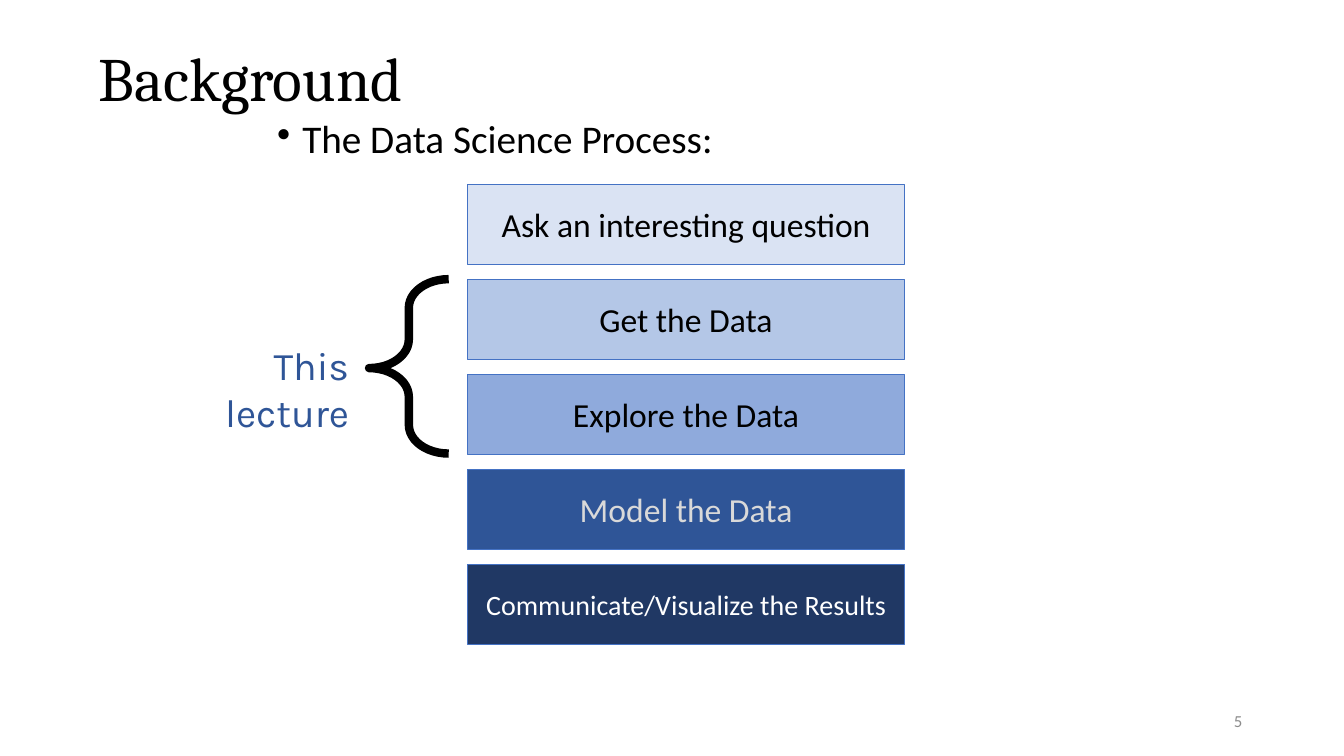
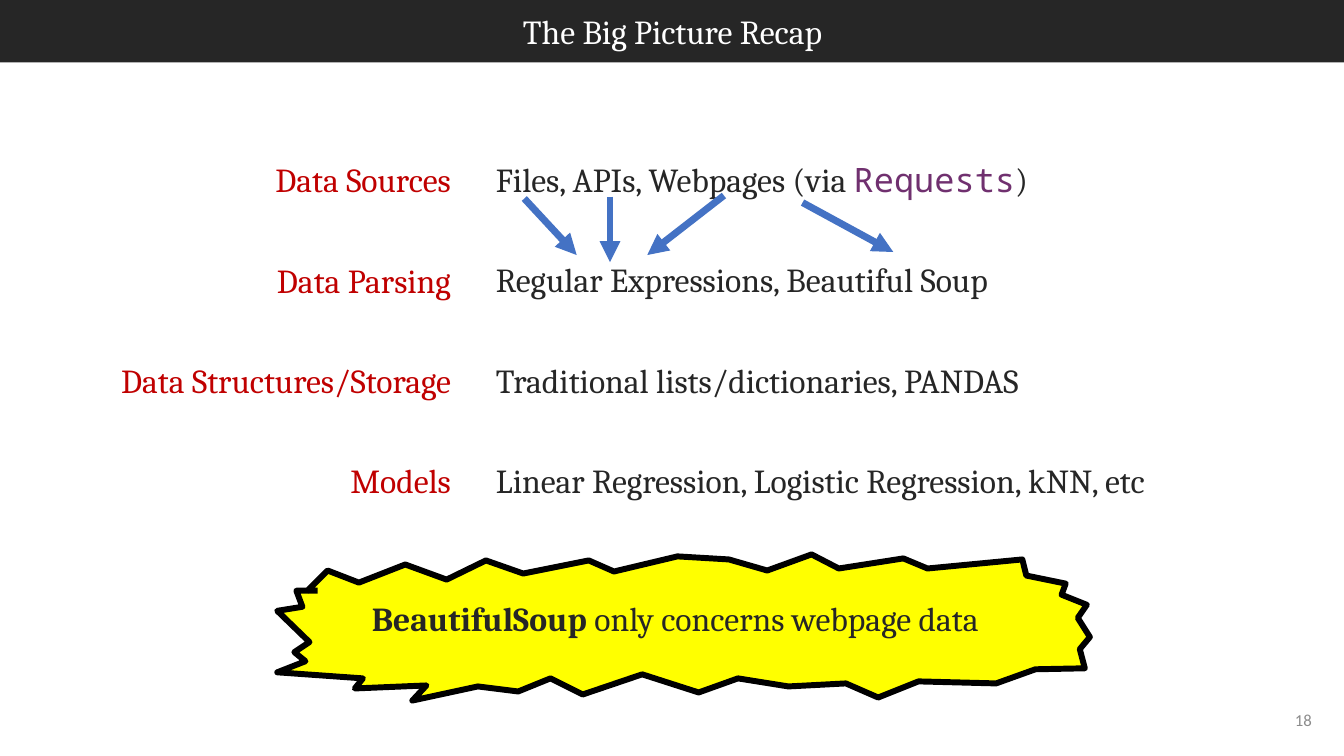
import pptx
import pptx.dml.color
import pptx.enum.shapes
import pptx.enum.text
import pptx.oxml
import pptx.oxml.ns
import pptx.util
from dataclasses import dataclass

Inches = pptx.util.Inches
Pt = pptx.util.Pt
Align = pptx.enum.text.PP_ALIGN
Anchor = pptx.enum.text.MSO_ANCHOR
Preset = pptx.enum.shapes.MSO_SHAPE
namespace = pptx.oxml.ns.nsdecls("a")


@dataclass(frozen=True)
class Theme:
    black: str = "000000"
    white: str = "FFFFFF"
    ink: str = "262626"
    muted: str = "8C8C8C"
    pale: str = "D9D9D9"
    blue: str = "4472C4"
    deep_blue: str = "2F5597"
    steps: tuple = ("DAE3F3", "B4C7E7", "8FAADC", "2F5597", "203864")
    red: str = "C00000"
    purple: str = "70306F"
    yellow: str = "FFFF00"
    body: str = "Calibri"
    serif: str = "Cambria"
    accent: str = "Karla"
    code: str = "Noto Sans Mono"
    title_size: int = 44
    large: int = 28
    medium: int = 24
    small: int = 20
    footer: int = 12


theme = Theme()


def write(target, text, at=None, size=theme.medium, font=theme.serif, color=theme.ink,
          align=Align.LEFT, anchor=Anchor.TOP, wrap=True, before=0, after=0,
          spacing=None, bullet=None):
    """Write into a shape, or into a new text box when at is given.

    text is a string or a list of (string, overrides) pairs.
    """
    box = target.shapes.add_textbox(*map(Inches, at)) if at else target
    frame = box.text_frame
    frame.word_wrap = wrap
    frame.vertical_anchor = anchor
    para = frame.paragraphs[0]
    para.alignment = align
    para.space_before, para.space_after = Pt(before), Pt(after)
    if spacing:
        para.line_spacing = spacing
    if bullet:
        properties = para._p.get_or_add_pPr()
        properties.set("marL", str(Inches(0.25)))
        properties.set("indent", str(-Inches(0.25)))
        properties.append(pptx.oxml.parse_xml(f'<a:buChar {namespace} char="{bullet}"/>'))
    for words, change in [(text, {})] if isinstance(text, str) else text:
        span = para.add_run()
        span.text = words
        span.font.size = Pt(size)
        span.font.name = change.get("font", font)
        span.font.bold = change.get("bold", False)
        span.font.color.rgb = pptx.dml.color.RGBColor.from_string(change.get("color", color))
    return box


def style(shape, fill=None, line=None, weight=0):
    """Set fill and outline, and remove the shadow."""
    shape.shadow.inherit = False
    for part, color in ((shape.fill, fill), (shape.line.fill, line)):
        if color:
            part.solid()
            part.fore_color.rgb = pptx.dml.color.RGBColor.from_string(color)
        else:
            part.background()
    if line:
        shape.line.width = Pt(weight)
    return shape


deck = pptx.Presentation()
deck.slide_width, deck.slide_height = Inches(13.33), Inches(7.5)
process_page, recap_page = [deck.slides.add_slide(deck.slide_layouts[6]) for _ in range(2)]

# Data science process: five stacked steps
steps = [
    ("Ask an interesting question", theme.black, theme.medium),
    ("Get the Data", theme.black, theme.medium),
    ("Explore the Data", theme.black, theme.medium),
    ("Model the Data", theme.pale, theme.medium),
    ("Communicate/Visualize the Results", theme.white, theme.small),
]
step_top, last_step_top = 1.83, 5.6
step_pitch = (last_step_top - step_top) / (len(steps) - 1)
for index, (label, color, size) in enumerate(steps):
    step = process_page.shapes.add_shape(
        Preset.RECTANGLE, Inches(4.64), Inches(step_top + index * step_pitch),
        Inches(4.33), Inches(0.79))
    style(step, theme.steps[index], theme.blue, 0.5)
    write(step, label, size=size, font=theme.body, color=color, align=Align.CENTER,
          anchor=Anchor.MIDDLE, wrap=False)

# Brace around the steps of this lecture
brace = process_page.shapes.add_shape(
    Preset.LEFT_BRACE, Inches(3.66), Inches(2.77), Inches(0.79), Inches(1.73))
brace.adjustments[0], brace.adjustments[1] = 0.36, 0.51
style(brace, None, theme.black, 6)
write(process_page, "This lecture", at=(1.44, 3.34, 2.12, 0.59), size=theme.large,
      font=theme.accent, color=theme.deep_blue, align=Align.RIGHT, before=10)

# Title and lead-in
write(process_page, "The Data Science Process:", at=(2.65, 1.14, 4.84, 0.68),
      size=theme.large, font=theme.body, color=theme.black, before=10, spacing=0.9, bullet="•")
write(process_page, "Background", at=(0.88, 0.08, 11.5, 1.45), size=theme.title_size,
      color=theme.black, anchor=Anchor.MIDDLE, spacing=0.9)

# Recap: ragged callout, clockwise from the upper left
outline = [
    (3.04, 5.87), (3.25, 5.66), (3.56, 5.78), (4.02, 5.6), (4.43, 5.75), (4.82, 5.56),
    (5.19, 5.69), (5.84, 5.56), (6.09, 5.67), (6.72, 5.52), (7.23, 5.55), (7.61, 5.66),
    (8.05, 5.5), (8.32, 5.64), (8.96, 5.54), (9.2, 5.64), (10.14, 5.55), (10.18, 5.71),
    (10.57, 5.79), (10.53, 5.9), (10.78, 6), (10.69, 6.13), (10.81, 6.32), (10.71, 6.44),
    (10.76, 6.63), (10.27, 6.64), (9.88, 6.78), (9.11, 6.76), (8.71, 6.92), (8.39, 6.78),
    (7.82, 6.81), (7.32, 6.73), (6.93, 6.87), (6.37, 6.69), (5.78, 6.89), (5.46, 6.73),
    (5.14, 6.86), (4.74, 6.81), (4.09, 6.95), (4.23, 6.8), (3.52, 6.83), (3.6, 6.73),
    (2.75, 6.67), (3.03, 6.56), (2.92, 6.47), (3.07, 6.37), (2.75, 6.06), (3, 6.02),
    (2.94, 5.86), (3.15, 5.86),
]
corners = [(Inches(x), Inches(y)) for x, y in outline]
builder = recap_page.shapes.build_freeform(*corners[0])
builder.add_line_segments(corners[1:], close=False)
style(builder.convert_to_shape(), theme.yellow, theme.black, 4.25)
write(recap_page, [("BeautifulSoup", {"bold": True}), (" only concerns webpage data", {})],
      at=(3.59, 5.88, 7.48, 0.5))

# Title band
band = recap_page.shapes.add_shape(
    Preset.RECTANGLE, 0, 0, deck.slide_width, Inches(0.62))
style(band, theme.ink)
write(recap_page, "The Big Picture Recap", at=(2.13, 0.06, 9.08, 0.5),
      color=theme.white, align=Align.CENTER)

# Topic rows: right-aligned label beside its examples
requests_line = [
    ("Files, APIs, Webpages (via ", {}),
    ("Requests", {"font": theme.code, "color": theme.purple}),
    (")", {}),
]
rows = [
    ("Data Sources", 2.35, requests_line, 6.39),
    ("Data Parsing", 2.35, "Regular Expressions, Beautiful Soup", 5.59),
    ("Data Structures/Storage", 3.99, "Traditional lists/dictionaries, PANDAS", 6.8),
    ("Models", 2.63, "Linear Regression, Logistic Regression, kNN, etc", 7.55),
]
label_right, row_height, row_top, last_row_top = 4.57, 0.5, 1.53, 4.51
row_pitch = (last_row_top - row_top) / (len(rows) - 1)
for index, (label, label_width, examples, examples_width) in enumerate(rows):
    top = row_top + index * row_pitch
    write(recap_page, label, at=(label_right - label_width, top, label_width, row_height),
          color=theme.red, align=Align.RIGHT, anchor=Anchor.BOTTOM, before=15, after=5)
    write(recap_page, examples, at=(4.82, top, examples_width, row_height))

# Arrows from sources to parsers
arrows = [
    (7.96, 2.01, 8.86, 2.5),
    (5.2, 1.97, 5.72, 2.53),
    (7.18, 1.94, 6.42, 2.53),
    (6.05, 1.95, 6.05, 2.6),
]
for ends in arrows:
    arrow = recap_page.shapes.add_connector(
        pptx.enum.shapes.MSO_CONNECTOR.STRAIGHT, *map(Inches, ends))
    arrow.line.color.rgb = pptx.dml.color.RGBColor.from_string(theme.blue)
    arrow.line.width = Pt(5)
    properties = arrow._element.spPr
    properties.find(pptx.oxml.ns.qn("a:ln")).append(
        pptx.oxml.parse_xml(f'<a:tailEnd {namespace} type="triangle"/>'))
    properties.append(pptx.oxml.parse_xml(f"<a:effectLst {namespace}/>"))

# Page numbers
for page, number, at in (
    (process_page, "5", (9.42, 6.95, 3, 0.4)),
    (recap_page, "18", (12.56, 6.94, 0.55, 0.4)),
):
    write(page, number, at=at, size=theme.footer, font=theme.body, color=theme.muted,
          align=Align.RIGHT, anchor=Anchor.MIDDLE)

deck.save("out.pptx")
